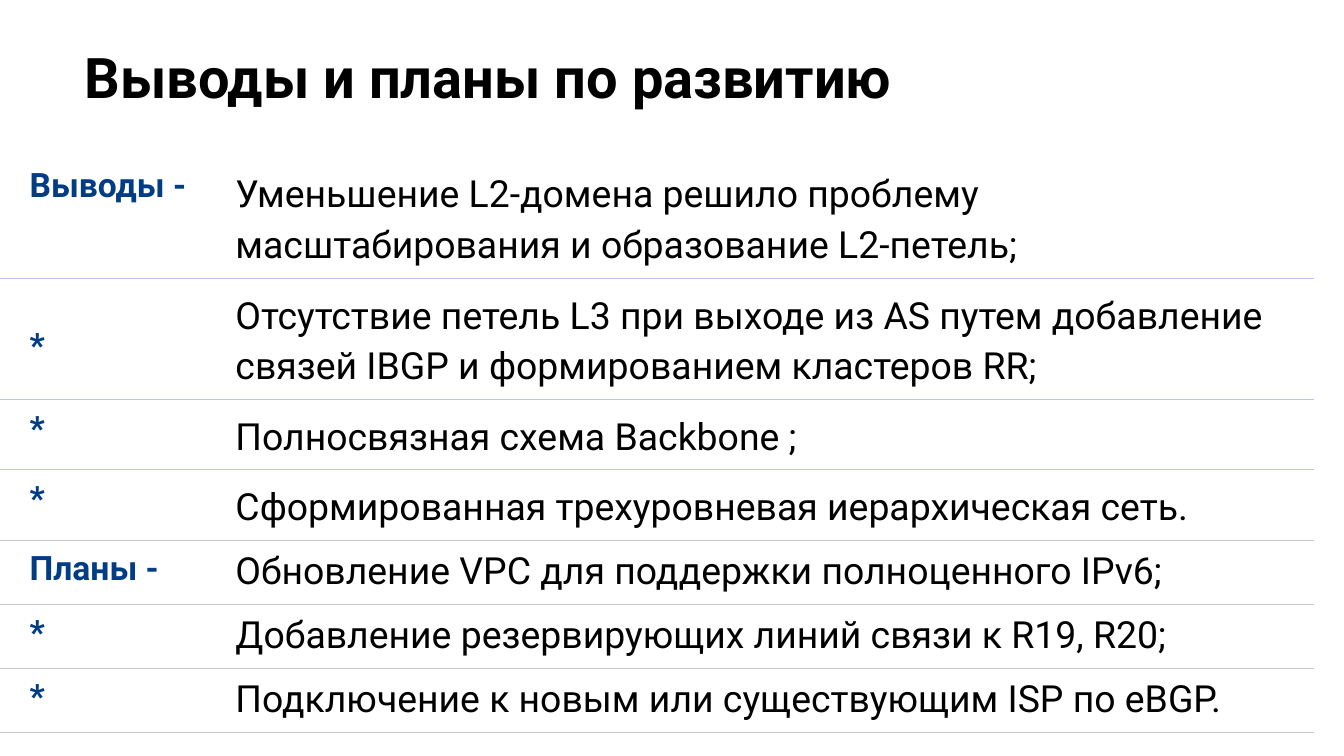
import pptx
import pptx.dml.color
import pptx.enum.text
import pptx.oxml
import pptx.oxml.ns
import pptx.util
from pptx.util import Cm

BLACK = pptx.dml.color.RGBColor(0x00, 0x00, 0x00)
NAVY = pptx.dml.color.RGBColor(0x01, 0x3D, 0x85)
LILAC = pptx.dml.color.RGBColor(0xBF, 0xC1, 0xF0)
GREY = pptx.dml.color.RGBColor(0xC8, 0xC8, 0xC8)
WHITE = pptx.dml.color.RGBColor(0xFF, 0xFF, 0xFF)

TITLE_FONT = {"name": "Roboto", "size": pptx.util.Pt(30), "bold": True}
LABEL_FONT = {"name": "Roboto", "size": pptx.util.Pt(18), "bold": True}
POINT_FONT = {"name": "Roboto", "size": pptx.util.Pt(20), "bold": False}

CELL_MARGINS = {"margin_left": Cm(0.56), "margin_right": Cm(0.25),
                "margin_top": Cm(0.18), "margin_bottom": Cm(0.18)}
TITLE_FRAME = {"margin_left": Cm(0.25), "margin_right": Cm(0.25),
               "margin_top": Cm(0.35), "margin_bottom": Cm(0.25),
               "word_wrap": True,
               "vertical_anchor": pptx.enum.text.MSO_ANCHOR.TOP}

COLUMN_WIDTHS = (Cm(3.89), Cm(20.95))
LOWERED_LABEL_MARGIN = Cm(0.91)

# label, point, row height, line spacing, rule colour
ROWS = [
    ("Выводы -", "Уменьшение L2-домена решило проблему масштабирования "
     "и образование L2-петель;", Cm(2.29), 1.15, LILAC),
    ("*", "Отсутствие петель L3 при выходе из AS путем добавление "
     "связей IBGP и формированием кластеров RR;", Cm(2.29), 1.15, LILAC),
    ("*", "Полносвязная схема Backbone ;", Cm(1.33), 1.15, LILAC),
    ("*", "Сформированная трехуровневая иерархическая сеть.",
     Cm(1.33), 1.15, GREY),
    ("Планы -", "Обновление VPC для поддержки полноценного IPv6;",
     Cm(1.21), 1.0, GREY),
    ("*", "Добавление резервирующих линий связи к R19, R20;",
     Cm(1.21), 1.0, GREY),
    ("*", "Подключение к новым или существующим ISP по eBGP.",
     Cm(1.21), 1.0, GREY),
]


def set_attributes(target, values):
    for attribute, value in values.items():
        setattr(target, attribute, value)


def write_text(frame, text, font, color, line_spacing=1.0):
    paragraph = frame.paragraphs[0]
    paragraph.line_spacing = line_spacing
    run = paragraph.add_run()
    run.text = text
    set_attributes(run.font, font)
    run.font.color.rgb = color


def add_title(slide, text):
    title = slide.shapes.add_textbox(Cm(1.35), Cm(0.46), Cm(23.67), Cm(1.65))
    set_attributes(title.text_frame, TITLE_FRAME)
    write_text(title.text_frame, text, TITLE_FONT, BLACK)


def add_bottom_rule(cell, color):
    rule = pptx.oxml.parse_xml(
        f'<a:lnB {pptx.oxml.ns.nsdecls("a")} w="{pptx.util.Pt(0.75)}">'
        f'<a:solidFill><a:srgbClr val="{color}"/></a:solidFill></a:lnB>')
    cell._tc.get_or_add_tcPr().insert(0, rule)


def fill_cell(cell, text, font, color, line_spacing, rule_color):
    set_attributes(cell, CELL_MARGINS)
    cell.fill.background()
    write_text(cell.text_frame, text, font, color, line_spacing)
    add_bottom_rule(cell, rule_color)


def add_summary_table(slide):
    height = sum(row[2] for row in ROWS)
    frame = slide.shapes.add_table(len(ROWS), len(COLUMN_WIDTHS), 0, Cm(2.97),
                                   sum(COLUMN_WIDTHS), height)
    summary = frame.table
    set_attributes(summary, {"first_row": False, "horz_banding": False})
    # "No Style, No Grid" leaves only the bottom rules
    style = summary._tbl.tblPr.find(pptx.oxml.ns.qn("a:tableStyleId"))
    style.text = "{2D5ABB26-0587-4C30-8999-92F81FD0307C}"
    for column, width in zip(summary.columns, COLUMN_WIDTHS):
        column.width = width
    for index, (label, point, row_height, spacing, rule) in enumerate(ROWS):
        summary.rows[index].height = row_height
        fill_cell(summary.cell(index, 0), label, LABEL_FONT, NAVY, 1.0, rule)
        fill_cell(summary.cell(index, 1), point, POINT_FONT, BLACK,
                  spacing, rule)
    summary.cell(1, 0).margin_top = LOWERED_LABEL_MARGIN


def main():
    deck = pptx.Presentation()
    set_attributes(deck, {"slide_width": Cm(25.4), "slide_height": Cm(14.29)})
    slide = deck.slides.add_slide(deck.slide_layouts[6])
    slide.background.fill.solid()
    slide.background.fill.fore_color.rgb = WHITE
    add_summary_table(slide)
    add_title(slide, "Выводы и планы по развитию")
    deck.save("out.pptx")


if __name__ == "__main__":
    main()
